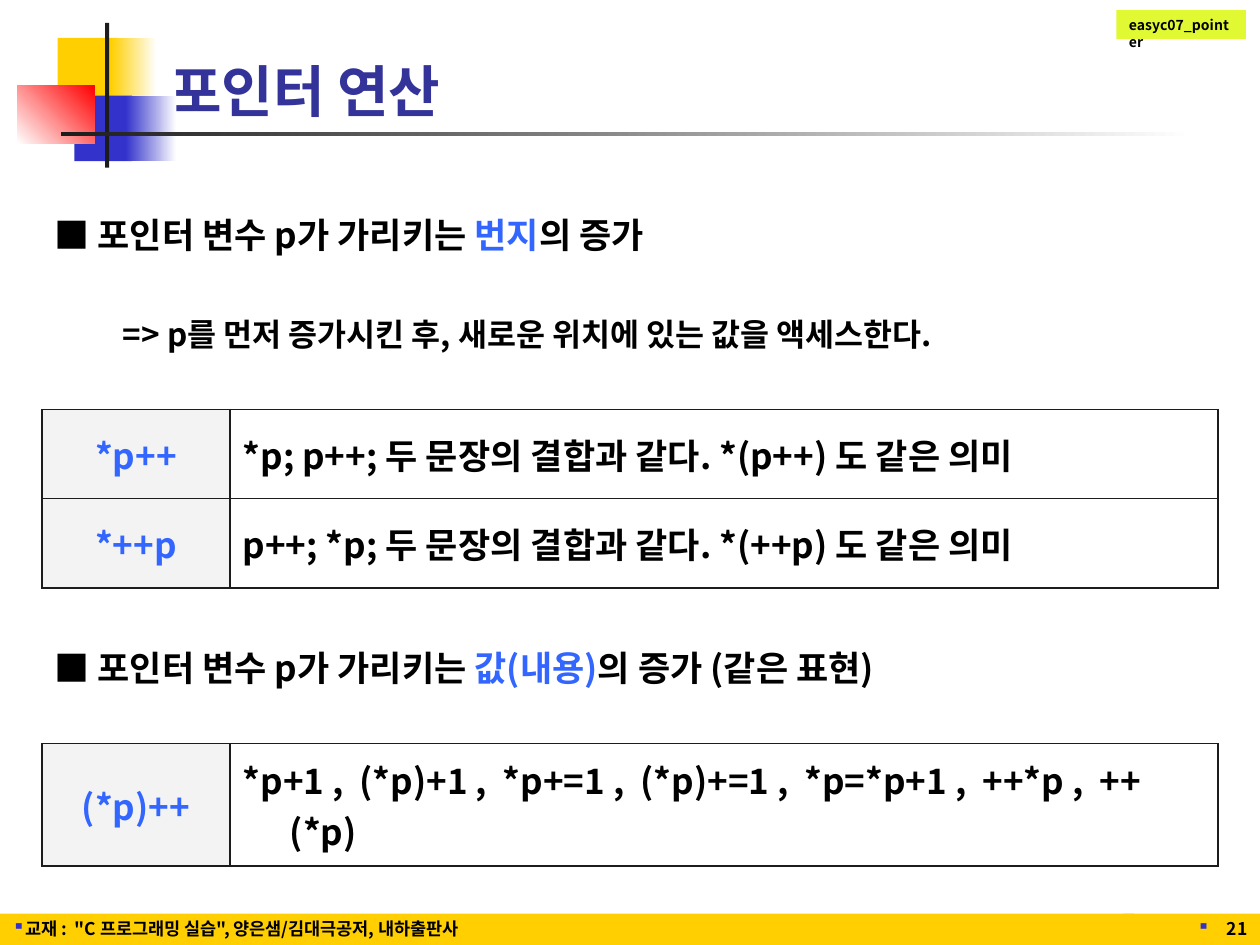
from dataclasses import dataclass

from lxml import etree
from pptx import Presentation
from pptx.dml.color import RGBColor as Rgb
from pptx.enum.shapes import MSO_SHAPE as Shape
from pptx.enum.text import MSO_ANCHOR as Anchor, MSO_AUTO_SIZE as AutoSize, PP_ALIGN as Align
from pptx.oxml.ns import qn
from pptx.util import Pt


@dataclass(frozen=True)
class Theme:
    font: str = "Noto Sans CJK KR"
    black: str = "000000"
    white: str = "FFFFFF"
    ink: str = "1C1C1C"
    yellow: str = "FFCF01"
    blue: str = "3333CC"
    red: str = "FF0000"
    lime: str = "E1F933"
    title: str = "333399"
    accent: str = "3366FF"
    shade: str = "F3F3F3"
    title_size: int = 32
    body_size: int = 20
    note_size: int = 18
    footer_size: int = 10
    tag_size: int = 8


class SlideBuilder:
    def __init__(self, deck, theme):
        self.theme = theme
        self.slide = deck.slides.add_slide(deck.slide_layouts[5])

    def span(self, para, text, size, color):
        span = para.add_run()
        span.text = text
        font = span.font
        font.size, font.bold, font.name = Pt(size), True, self.theme.font
        font.color.rgb = Rgb.from_string(color)
        etree.SubElement(font._element, qn("a:ea")).set("typeface", self.theme.font)

    def indent(self, para, left, first):
        props = para._p.get_or_add_pPr()
        props.set("marL", str(Pt(left)))
        props.set("indent", str(Pt(first)))

    def bullet(self, para):
        props = para._p.get_or_add_pPr()
        color = etree.SubElement(props, qn("a:buClr"))
        etree.SubElement(color, qn("a:srgbClr")).set("val", self.theme.blue)
        etree.SubElement(props, qn("a:buChar")).set("char", "▪")

    def frame(self, shape, anchor):
        frame = shape.text_frame
        frame.word_wrap = True
        frame.auto_size = AutoSize.NONE
        frame.vertical_anchor = anchor
        return frame.paragraphs[0]

    def title(self, text, left, top, width, height):
        box = self.slide.shapes.title
        box.left, box.top, box.width, box.height = map(Pt, (left, top, width, height))
        para = self.frame(box, Anchor.BOTTOM)
        para.alignment = Align.LEFT
        self.span(para, text, self.theme.title_size, self.theme.title)

    def block(self, left, top, width, height, color, end=None, angle=0):
        box = self.slide.shapes.add_shape(Shape.RECTANGLE, *map(Pt, (left, top, width, height)))
        box.shadow.inherit = False
        box.line.fill.background()
        if end:
            box.fill.gradient()
            box.fill.gradient_angle = angle
            for stop, stop_color in zip(box.fill.gradient_stops, (color, end)):
                stop.color.rgb = Rgb.from_string(stop_color)
        else:
            box.fill.solid()
            box.fill.fore_color.rgb = Rgb.from_string(color)
        return box

    def label(self, box, text, size, anchor, align=Align.LEFT, bullet=False):
        para = self.frame(box, anchor)
        para.alignment = align
        if bullet:
            self.bullet(para)
        self.span(para, text, size, self.theme.black)

    def table(self, left, top, widths, heights):
        shape = self.slide.shapes.add_table(
            len(heights), len(widths), *map(Pt, (left, top, sum(widths), sum(heights))))
        table = shape.table
        # Plain style without bands or grid
        style = table._tbl.tblPr.find(qn("a:tableStyleId"))
        style.text = "{2D5ABB26-0587-4C30-8999-92F81FD0307C}"
        table.first_row = table.horz_banding = False
        for column, width in zip(table.columns, widths):
            column.width = Pt(width)
        for row, height in zip(table.rows, heights):
            row.height = Pt(height)
        return table

    def borders(self, cell, sides):
        props = cell._tc.get_or_add_tcPr()
        for side in sides:
            line = etree.SubElement(props, qn(f"a:ln{side}"), w=str(Pt(1)))
            fill = etree.SubElement(line, qn("a:solidFill"))
            etree.SubElement(fill, qn("a:srgbClr")).set("val", self.theme.ink)

    def cell_text(self, cell, spans, align=Align.LEFT):
        cell.vertical_anchor = Anchor.MIDDLE
        para = cell.text_frame.paragraphs[0]
        para.alignment = align
        self.indent(para, 27, -27)
        for text, color in spans:
            self.span(para, text, self.theme.body_size, color)

    def heading_row(self, table, row, spans, sides):
        first, last = table.cell(row, 0), table.cell(row, 1)
        first.merge(last)
        for cell in (first, last):
            self.borders(cell, sides)
            cell.fill.background()
        self.cell_text(first, spans)
        return first

    def code_row(self, table, row, code, meaning):
        theme = self.theme
        name, text = table.cell(row, 0), table.cell(row, 1)
        for cell, color in ((name, theme.shade), (text, theme.white)):
            self.borders(cell, "LRTB")
            cell.fill.solid()
            cell.fill.fore_color.rgb = Rgb.from_string(color)
        self.cell_text(name, [(code, theme.accent)], Align.CENTER)
        self.cell_text(text, [(meaning, theme.black)])


def main():
    theme = Theme()
    deck = Presentation()
    deck.slide_width, deck.slide_height = Pt(720), Pt(540)
    page = SlideBuilder(deck, theme)

    # Corner ornament and title rule
    page.block(33, 21.6, 34.5, 37.4, theme.yellow)
    page.block(63.4, 21.6, 26, 37.4, theme.yellow, theme.white)
    page.block(42.5, 54.7, 33, 37.4, theme.blue)
    page.block(72, 54.7, 28.8, 37.4, theme.blue, theme.white)
    page.block(10, 48.7, 44, 33.3, theme.white, theme.red, 45)
    page.block(60, 13, 2.4, 82.8, theme.ink)
    page.block(34.6, 75.4, 648, 2.4, theme.ink, theme.white)

    # Chapter tag and title
    tag = page.block(638, 5.8, 74, 16.6, theme.lime)
    page.label(tag, "easyc07_pointer", theme.tag_size, Anchor.TOP)
    page.title("포인터 연산", 90, 12.2, 606, 62)

    # Footer with book and page number
    book = page.block(0, 522, 648, 18, theme.yellow)
    page.label(book, "교재 :  \"C 프로그래밍 실습\", 양은샘/김대극공저, 내하출판사",
               theme.footer_size, Anchor.BOTTOM, bullet=True)
    number = page.block(642, 522, 78, 18, theme.yellow)
    page.label(number, "21", theme.footer_size, Anchor.BOTTOM, Align.RIGHT, bullet=True)

    # Table of pointer operations
    table = page.table(24, 114, (107.5, 564.5), (120, 51, 51, 89, 70))
    subject = "■ 포인터 변수 p가 가리키는 "
    address = page.heading_row(table, 0, [
        (subject, theme.black), ("번지", theme.accent), ("의 증가", theme.black)], "B")
    address.vertical_anchor = Anchor.TOP
    address.margin_top = Pt(5)
    note = address.text_frame.add_paragraph()
    note.space_before = Pt(29)
    page.indent(note, 61, -22)
    page.span(note, "=> p를 먼저 증가시킨 후, 새로운 위치에 있는 값을 액세스한다.",
              theme.note_size, theme.black)
    page.heading_row(table, 3, [
        (subject, theme.black), ("값(내용)", theme.accent),
        ("의 증가 (같은 표현)", theme.black)], "TB")
    for row, code, meaning in (
        (1, "*p++", "*p; p++; 두 문장의 결합과 같다. *(p++) 도 같은 의미"),
        (2, "*++p", "p++; *p; 두 문장의 결합과 같다. *(++p) 도 같은 의미"),
        (4, "(*p)++", "*p+1 ,  (*p)+1 ,  *p+=1 ,  (*p)+=1 ,  *p=*p+1 ,  ++*p ,  ++(*p)"),
    ):
        page.code_row(table, row, code, meaning)

    deck.save("out.pptx")


if __name__ == "__main__":
    main()
